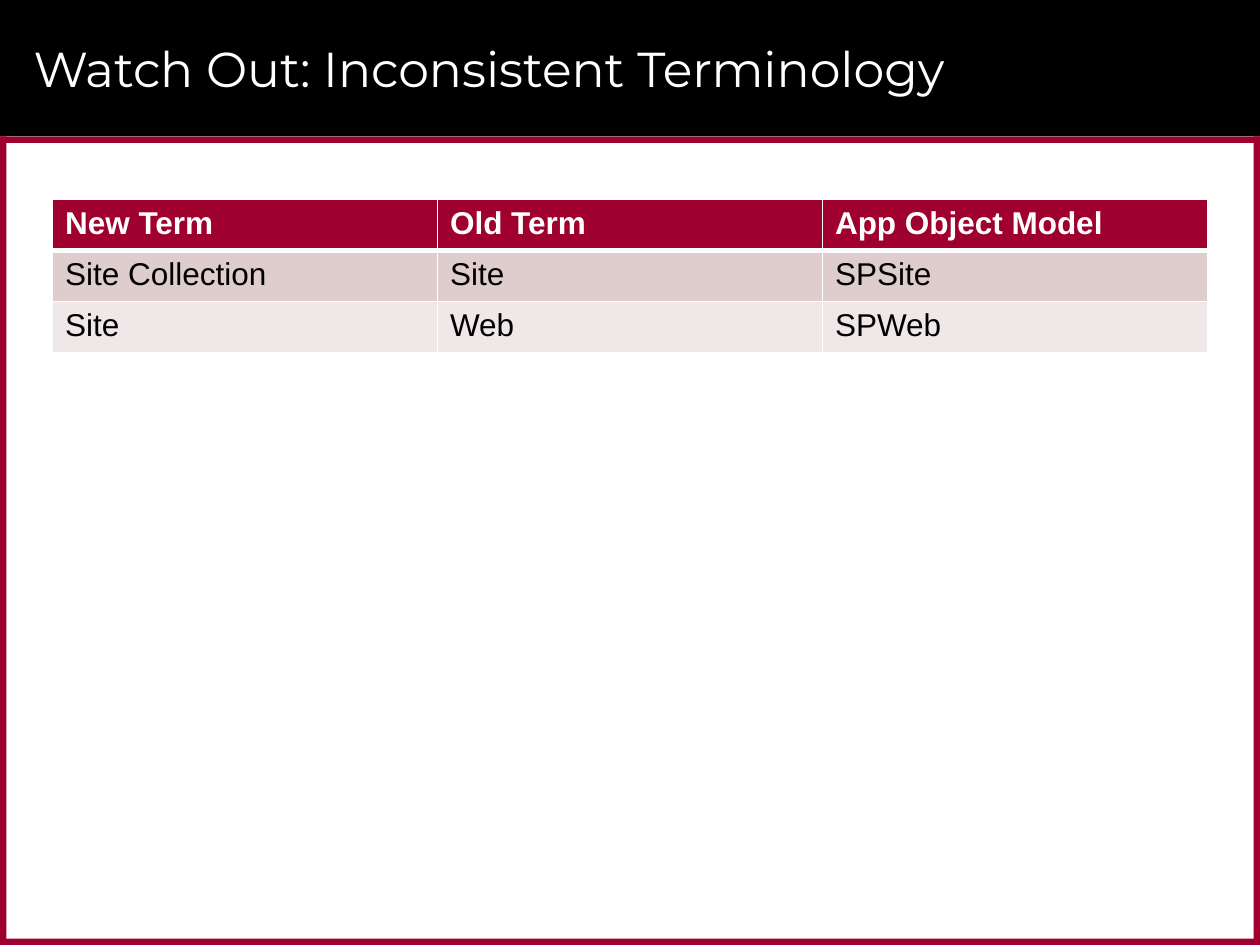
from dataclasses import dataclass

from pptx import Presentation
from pptx.dml.color import RGBColor
from pptx.enum.shapes import MSO_SHAPE
from pptx.enum.text import MSO_ANCHOR, MSO_AUTO_SIZE, PP_ALIGN
from pptx.oxml.ns import qn
from pptx.util import Pt
from lxml import etree

RECTANGLE = MSO_SHAPE.RECTANGLE
MIDDLE = MSO_ANCHOR.MIDDLE
LEFT = PP_ALIGN.LEFT
NO_AUTOFIT = MSO_AUTO_SIZE.NONE


@dataclass(frozen=True)
class Theme:
    black: str = "000000"
    white: str = "FFFFFF"
    crimson: str = "9F002D"
    bands: tuple = ("DFCCCD", "F0E7E8")
    title_font: str = "Montserrat"
    body_font: str = "Arial"
    title_size: int = 28
    body_size: int = 18


def write_text(frame, text, *, font, size, color, bold=False):
    para = frame.paragraphs[0]
    para.alignment = LEFT
    span = para.add_run()
    span.text = text
    span.font.name = font
    span.font.size = Pt(size)
    span.font.bold = bold
    span.font.color.rgb = RGBColor.from_string(color)


class SlideBuilder:
    def __init__(self, page, theme):
        self.page = page
        self.theme = theme

    def bar(self, left, top, width, height, color):
        box = self.page.shapes.add_shape(
            RECTANGLE, Pt(left), Pt(top), Pt(width), Pt(height))
        box.shadow.inherit = False
        box.fill.solid()
        box.fill.fore_color.rgb = RGBColor.from_string(color)
        box.line.fill.background()

    def title(self, text, left, top, width, height):
        box = self.page.shapes.title
        box.left, box.top, box.width, box.height = map(Pt, (left, top, width, height))
        self.page.shapes.element.append(box.element)
        frame = box.text_frame
        frame.word_wrap = True
        frame.auto_size = NO_AUTOFIT
        frame.vertical_anchor = MIDDLE
        write_text(frame, text, font=self.theme.title_font,
                   size=self.theme.title_size, color=self.theme.white)

    def cell_borders(self, cell, top_width, bottom_width):
        properties = cell._tc.get_or_add_tcPr()
        widths = {"a:lnL": 1, "a:lnR": 1, "a:lnT": top_width, "a:lnB": bottom_width}
        for position, (tag, width) in enumerate(widths.items()):
            line = etree.Element(qn(tag), w=str(Pt(width)))
            fill = etree.SubElement(line, qn("a:solidFill"))
            etree.SubElement(fill, qn("a:srgbClr"), val=self.theme.white)
            properties.insert(position, line)

    def table(self, rows, left, top, width, row_height):
        theme = self.theme
        grid = self.page.shapes.add_table(
            len(rows), len(rows[0]), Pt(left), Pt(top),
            Pt(width), Pt(row_height * len(rows))).table
        for row_index, row in enumerate(rows):
            header = row_index == 0
            fill = theme.crimson if header else theme.bands[(row_index - 1) % 2]
            top_width = 3 if row_index == 1 else 1
            bottom_width = 3 if header else 1
            for column_index, text in enumerate(row):
                cell = grid.cell(row_index, column_index)
                cell.fill.solid()
                cell.fill.fore_color.rgb = RGBColor.from_string(fill)
                self.cell_borders(cell, top_width, bottom_width)
                write_text(cell.text_frame, text, font=theme.body_font,
                           size=theme.body_size, bold=header,
                           color=theme.white if header else theme.black)


def main():
    width, height = 720, 540
    header_height, edge = 78, 3.6
    side_height = height - header_height
    theme = Theme()

    deck = Presentation()
    deck.slide_width, deck.slide_height = Pt(width), Pt(height)
    page = deck.slides.add_slide(deck.slide_layouts[5])
    builder = SlideBuilder(page, theme)

    builder.bar(0, 0, width, header_height, theme.black)
    for top in (header_height, height - edge):
        builder.bar(0, top, width, edge, theme.crimson)
    for left in (width - edge, 0):
        builder.bar(left, header_height, edge, side_height, theme.crimson)

    builder.title("Watch Out: Inconsistent Terminology", 12, 6, 678, 66)
    builder.table([
        ("New Term", "Old Term", "App Object Model"),
        ("Site Collection", "Site", "SPSite"),
        ("Site", "Web", "SPWeb"),
    ], 30, 114, 660, 29.2)

    deck.save("out.pptx")


if __name__ == "__main__":
    main()
